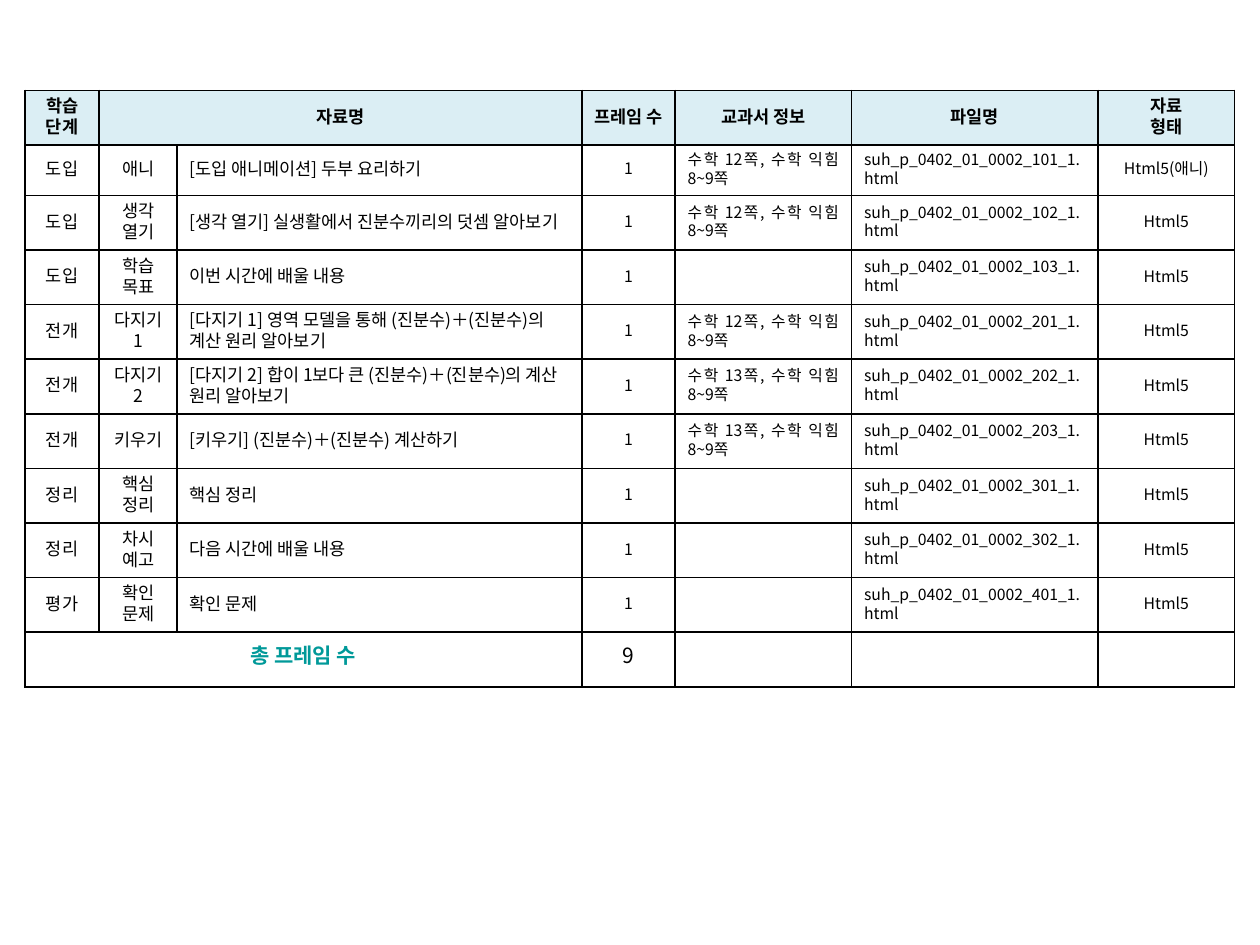
from lxml import etree
from pptx import Presentation
from pptx.dml.color import RGBColor
from pptx.enum.text import MSO_ANCHOR, PP_ALIGN
from pptx.oxml.ns import qn
from pptx.util import Pt

CENTER, LEFT, JUSTIFY = PP_ALIGN.CENTER, PP_ALIGN.LEFT, PP_ALIGN.JUSTIFY
MIDDLE = MSO_ANCHOR.MIDDLE
FONT = "Noto Sans CJK KR"
BLACK, TEAL, PALE_BLUE = "000000", "009999", "DBEEF4"
LINE_RATIO = 1.2

COLUMN_WIDTHS = [42.5, 44.6, 231.2, 53.3, 100.8, 141, 77.8]
ROW_HEIGHT, FIRST_LESSON_HEIGHT = 31.2, 28.8

HEADINGS = ["학습 단계", "자료명", "", "프레임 수", "교과서 정보", "파일명", "자료\n형태"]
LESSONS = [
    ("도입", "애니", "[도입 애니메이션] 두부 요리하기", 12, "101", "Html5(애니)"),
    ("도입", "생각 열기", "[생각 열기] 실생활에서 진분수끼리의 덧셈 알아보기", 12, "102", "Html5"),
    ("도입", "학습 목표", "이번 시간에 배울 내용", None, "103", "Html5"),
    ("전개", "다지기 1", "[다지기 1] 영역 모델을 통해 (진분수)＋(진분수)의 계산 원리 알아보기", 12, "201", "Html5"),
    ("전개", "다지기 2", "[다지기 2] 합이 1보다 큰 (진분수)＋(진분수)의 계산 원리 알아보기", 13, "202", "Html5"),
    ("전개", "키우기", "[키우기] (진분수)＋(진분수) 계산하기", 13, "203", "Html5"),
    ("정리", "핵심 정리", "핵심 정리", None, "301", "Html5"),
    ("정리", "차시 예고", "다음 시간에 배울 내용", None, "302", "Html5"),
    ("평가", "확인 문제", "확인 문제", None, "401", "Html5"),
]
TOTALS = ["총 프레임 수", "", "", str(len(LESSONS)), "", "", ""]

HEADING = {"size": 10, "bold": True, "fill": PALE_BLUE}
LABEL = {"size": 10}
DETAIL = {"size": 9}
TOTAL = {"size": 12}
TOTAL_LABEL = {"size": 12, "bold": True, "color": TEAL}
LESSON_FORMATS = [
    LABEL, LABEL, {**LABEL, "align": LEFT}, DETAIL,
    {**DETAIL, "align": JUSTIFY}, {**DETAIL, "align": JUSTIFY}, DETAIL,
]


def rgb(value):
    """Return the colour for a hex string."""
    return RGBColor.from_string(value)


def lesson_texts(stage, step, title, page, file_number, media):
    """Return the seven cell texts of one lesson."""
    pages = f"수학 {page}쪽, 수학 익힘 8~9쪽" if page else ""
    return [stage, step, title, "1", pages, f"suh_p_0402_01_0002_{file_number}_1.html", media]


def draw_borders(cell):
    """Give a cell a thin black line on every side."""
    properties = cell._tc.get_or_add_tcPr()
    for position, side in enumerate(("a:lnL", "a:lnR", "a:lnT", "a:lnB")):
        border = etree.Element(qn(side), w=str(Pt(1)))
        fill = etree.SubElement(border, qn("a:solidFill"))
        etree.SubElement(fill, qn("a:srgbClr"), val=BLACK)
        properties.insert(position, border)


def write_cell(cell, text, size, bold=False, color=BLACK, align=CENTER, fill=None):
    """Write and format one table cell."""
    cell.text = text
    cell.vertical_anchor = MIDDLE
    draw_borders(cell)
    if fill:
        cell.fill.solid()
        cell.fill.fore_color.rgb = rgb(fill)
    else:
        cell.fill.background()
    line_height = Pt(min(size, 10) * LINE_RATIO)
    for paragraph in cell.text_frame.paragraphs:
        paragraph.alignment = align
        paragraph.line_spacing = line_height
        for run in paragraph.runs:
            for name, value in {"name": FONT, "size": Pt(size), "bold": bold}.items():
                setattr(run.font, name, value)
            run.font.color.rgb = rgb(color)
            etree.SubElement(run._r.get_or_add_rPr(), qn("a:ea"), typeface=FONT)


def add_lesson_table(slide, left, top):
    """Place the table of lesson materials at the given corner."""
    rows = [(HEADINGS, [HEADING] * len(HEADINGS))]
    rows += [(lesson_texts(*lesson), LESSON_FORMATS) for lesson in LESSONS]
    rows.append((TOTALS, [TOTAL_LABEL] + [TOTAL] * (len(TOTALS) - 1)))
    heights = [ROW_HEIGHT] * len(rows)
    heights[1] = FIRST_LESSON_HEIGHT
    table = slide.shapes.add_table(
        len(rows), len(COLUMN_WIDTHS), Pt(left), Pt(top),
        Pt(sum(COLUMN_WIDTHS)), Pt(sum(heights)),
    ).table
    for column, width in zip(table.columns, COLUMN_WIDTHS):
        column.width = Pt(width)
    for row, height, (texts, formats) in zip(table.rows, heights, rows):
        row.height = Pt(height)
        for cell, text, cell_format in zip(row.cells, texts, formats):
            write_cell(cell, text, **cell_format)
    table.cell(0, 1).merge(table.cell(0, 2))
    last = len(rows) - 1
    table.cell(last, 0).merge(table.cell(last, 2))


def main():
    """Build and save the slide."""
    presentation = Presentation()
    presentation.slide_width, presentation.slide_height = Pt(720), Pt(540)
    slide = presentation.slides.add_slide(presentation.slide_layouts[6])
    add_lesson_table(slide, 14.2, 51.6)
    presentation.save("out.pptx")


if __name__ == "__main__":
    main()
